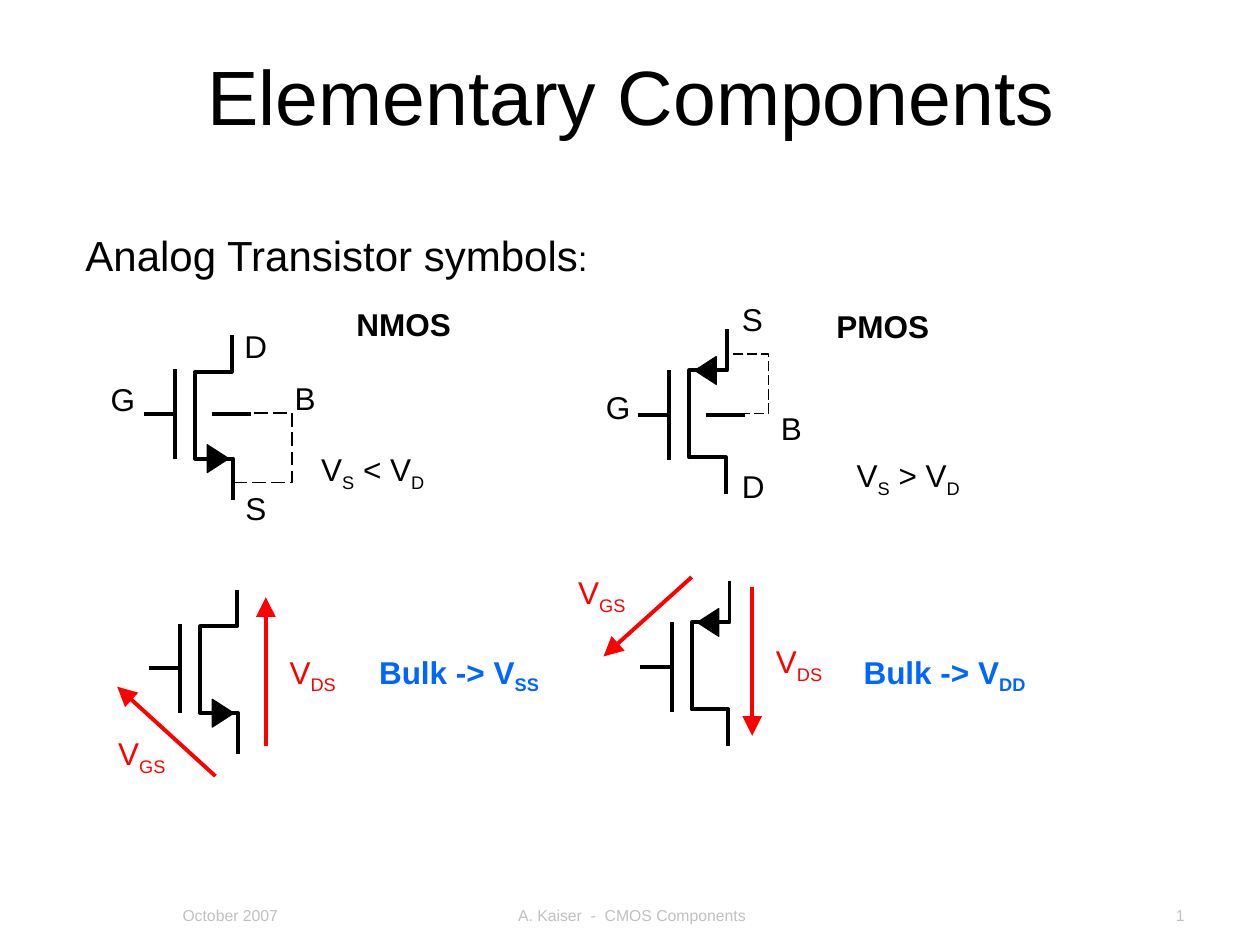
from dataclasses import dataclass
from typing import Optional

from lxml import etree
from pptx import Presentation
from pptx import util as u
from pptx.dml.color import RGBColor
from pptx.enum import dml, shapes, text
from pptx.oxml.ns import qn

COLUMNS, ROWS = 100, 75
BLACK, RED, BLUE, GREY = "000000", "FF0000", "0066FF", "C0C0C0"
FONT = "Arial"
LABEL_HEIGHT, FORMULA_HEIGHT = 4, 4.4
VOLTAGE_WIDTH = 6.4
GATE_HEIGHT = 7.1

presentation = Presentation()
presentation.slide_width, presentation.slide_height = u.Inches(10), u.Inches(7.5)
slide = presentation.slides.add_slide(presentation.slide_layouts[6])

Point = tuple[float, float]


@dataclass
class Transistor:
    gate_column: float
    gate_row: float
    is_pmos: bool
    has_bulk: bool


@dataclass
class Label:
    content: str
    column: float
    row: float
    width: float
    height: float = LABEL_HEIGHT
    color: str = BLACK
    bold: bool = False


@dataclass
class Voltage:
    """A red arrow from start to end with its label."""
    start: Point
    end: Point
    content: str
    column: float
    row: float


def x(columns: float) -> int:
    return round(presentation.slide_width * columns / COLUMNS)


def y(rows: float) -> int:
    return round(presentation.slide_height * rows / ROWS)


def rgb(color: str) -> RGBColor:
    return RGBColor.from_string(color)


def add_text(content: str, column: float, row: float, width: float, height: float, *,
             size: float = 18, color: str = BLACK, bold: bool = False, wrap: bool = False,
             align=text.PP_ALIGN.LEFT, anchor=text.MSO_ANCHOR.TOP,
             tail: str = "", tail_size: float = 20) -> None:
    """Write content; every second part between bars is a subscript."""
    box = slide.shapes.add_textbox(x(column), y(row), x(width), y(height))
    frame = box.text_frame
    frame.word_wrap = wrap
    if not wrap:
        frame.auto_size = text.MSO_AUTO_SIZE.SHAPE_TO_FIT_TEXT
    frame.vertical_anchor = anchor
    paragraph = frame.paragraphs[0]
    paragraph.alignment = align
    parts = [(part, size, index % 2 == 1) for index, part in enumerate(content.split("|"))]
    if tail:
        parts.append((tail, tail_size, False))
    for part, part_size, is_subscript in parts:
        if not part:
            continue
        run = paragraph.add_run()
        run.text = part
        run.font.name, run.font.size, run.font.bold = FONT, u.Pt(part_size), bold
        run.font.color.rgb = rgb(color)
        if is_subscript:
            run.font._element.set("baseline", "-25000")


def add_label(label: Label) -> None:
    add_text(label.content, label.column, label.row, label.width, label.height,
             color=label.color, bold=label.bold)


def add_line(start: Point, end: Point, color: str = BLACK, arrow: bool = False) -> None:
    line = slide.shapes.add_connector(shapes.MSO_CONNECTOR.STRAIGHT,
                                      x(start[0]), y(start[1]), x(end[0]), y(end[1]))
    line.line.color.rgb = rgb(color)
    line.line.width = u.Pt(2.25)
    if arrow:
        etree.SubElement(line.line._get_or_add_ln(), qn("a:tailEnd"),
                         type="triangle", w="lg", len="lg")
    etree.SubElement(line._element.spPr, qn("a:effectLst"))


def add_wire(points: list[Point], width: float = 2.25,
             dash: Optional[dml.MSO_LINE] = None) -> None:
    corners = [(x(column), y(row)) for column, row in points]
    builder = slide.shapes.build_freeform(*corners[0])
    builder.add_line_segments(corners[1:], close=False)
    wire = builder.convert_to_shape()
    wire.shadow.inherit = False
    wire.fill.background()
    wire.line.color.rgb = rgb(BLACK)
    wire.line.width = u.Pt(width)
    if dash is not None:
        wire.line.dash_style = dash


def add_source_arrow(center: Point, rotation: float) -> None:
    width, height = 2.2, 1.7
    arrow = slide.shapes.add_shape(shapes.MSO_SHAPE.ISOSCELES_TRIANGLE,
                                   x(center[0] - width / 2), y(center[1] - height / 2),
                                   x(width), y(height))
    arrow.rotation = rotation
    arrow.shadow.inherit = False
    arrow.fill.solid()
    arrow.fill.fore_color.rgb = rgb(BLACK)
    arrow.line.color.rgb = rgb(BLACK)
    arrow.line.width = u.Pt(0.75)


def add_transistor(transistor: Transistor) -> None:
    """Draw the symbol; a PMOS is an NMOS turned upside down."""
    def place(column: float, row: float) -> Point:
        if transistor.is_pmos:
            row = GATE_HEIGHT - row
        return transistor.gate_column + column, transistor.gate_row + row

    add_line(place(0, 0), place(0, GATE_HEIGHT))
    add_line(place(-2.5, 3.55), place(-0.15, 3.55))
    add_wire([place(*corner) for corner in
              [(4.5, -2.7), (4.5, 0.2), (1.6, 0.2), (1.6, 7.1), (4.6, 7.1), (4.6, 10.35)]])
    add_source_arrow(place(2.9 if transistor.is_pmos else 3.4, GATE_HEIGHT),
                     270 if transistor.is_pmos else 90)
    if transistor.has_bulk:
        add_line(place(2.9, 3.55), place(6, 3.55))


def add_voltage(voltage: Voltage) -> None:
    add_line(voltage.start, voltage.end, RED, arrow=True)
    add_label(Label(voltage.content, voltage.column, voltage.row,
                    VOLTAGE_WIDTH, FORMULA_HEIGHT, RED))


TRANSISTORS = [
    Transistor(13.9, 29.3, False, True),
    Transistor(53.1, 29.4, True, True),
    Transistor(14.3, 49.5, False, False),
    Transistor(53.3, 49.4, True, False),
]
BULK_WIRES = [
    ([(18.5, 38.3), (23.2, 38.3), (23.2, 32.8), (20.1, 32.8)], 1),
    ([(58.7, 32.8), (61, 32.8), (61, 28.1), (57.9, 28.1)], 0.75),
]
LABELS = [
    Label("D", 18.4, 25.5, 3.8),
    Label("S", 18.5, 38.3, 3.6),
    Label("G", 7.8, 29.7, 3.9),
    Label("B", 22.4, 29.6, 3.6),
    Label("S", 57.9, 23.3, 3.6),
    Label("D", 57.9, 36.6, 3.8),
    Label("G", 47.1, 30.3, 3.9),
    Label("B", 61, 32, 3.6),
    Label("V|S| < V|D", 24.5, 35.2, 10.2, FORMULA_HEIGHT),
    Label("V|S| > V|D", 67, 35.7, 10.2, FORMULA_HEIGHT),
    Label("NMOS", 27.3, 23.7, 9.8, bold=True),
    Label("PMOS", 65.4, 23.9, 9.8, bold=True),
    Label("Bulk -> V|SS", 29.1, 51.3, 14.9, FORMULA_HEIGHT, BLUE, True),
    Label("Bulk -> V|DD", 67.55, 51.3, 14.9, FORMULA_HEIGHT, BLUE, True),
]
VOLTAGES = [
    Voltage((21.1, 59.2), (21.1, 47.4), "V|DS", 22, 51.3),
    Voltage((59.7, 46.6), (59.7, 58.4), "V|DS", 60.6, 50.5),
    Voltage((17.1, 61.6), (9.3, 54.5), "V|GS", 8.4, 57.8),
    Voltage((54.9, 45.8), (47.9, 52.1), "V|GS", 44.9, 45),
]
FOOTERS = [
    ("October 2007", 13.5, 19.2, text.PP_ALIGN.LEFT),
    ("A. Kaiser  -  CMOS Components", 34.3, 31.7, text.PP_ALIGN.CENTER),
    ("1", 71.7, 23.3, text.PP_ALIGN.RIGHT),
]

for content, column, width, align in FOOTERS:
    add_text(content, column, 71.4, width, 2.4, size=9, color=GREY, wrap=True, align=align)
add_text("Elementary Components", 5.1, 1.3, 90, 12.5, size=44, wrap=True,
         align=text.PP_ALIGN.CENTER, anchor=text.MSO_ANCHOR.MIDDLE)
add_text("Analog Transistor symbols", 5.8, 17.7, 42, 5, size=24, tail=":")
for transistor in TRANSISTORS:
    add_transistor(transistor)
for points, width in BULK_WIRES:
    add_wire(points, width, dml.MSO_LINE.LONG_DASH)
for label in LABELS:
    add_label(label)
for voltage in VOLTAGES:
    add_voltage(voltage)

presentation.save("out.pptx")
